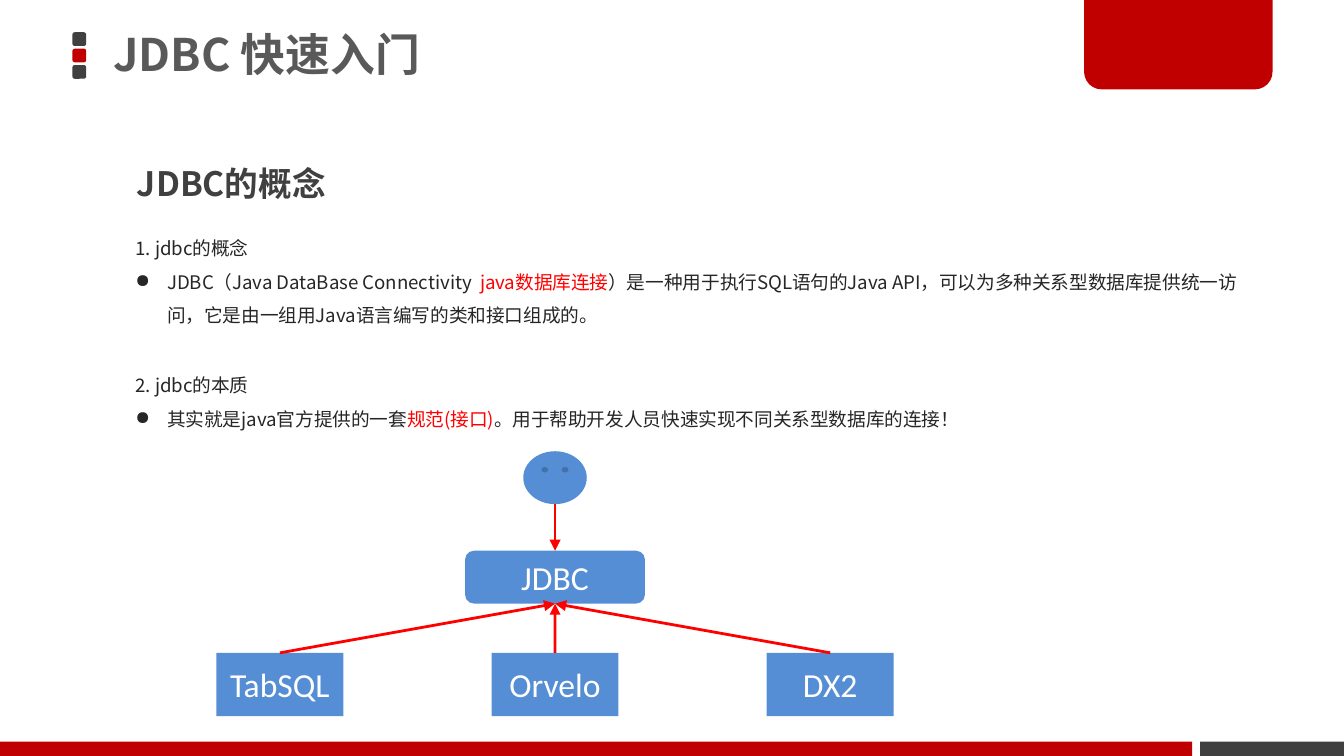
import pptx
import pptx.dml.color
import pptx.enum.shapes
import pptx.enum.text
import pptx.oxml
import pptx.oxml.ns
import pptx.util

Cm = pptx.util.Cm
Pt = pptx.util.Pt
SHAPE = pptx.enum.shapes.MSO_SHAPE
ANCHOR = pptx.enum.text.MSO_ANCHOR
CENTER = pptx.enum.text.PP_ALIGN.CENTER

SLIDE_W, SLIDE_H = 25.4, 14.29
CJK, LATIN = "Noto Sans CJK SC", "Calibri"
RED, DARK, BLUE, INK, ACCENT = "C00000", "404040", "558ED5", "262626", "FF0000"


def color(hex_text):
    return pptx.dml.color.RGBColor.from_string(hex_text)


def append_xml(parent, tag, **attrs):
    el = pptx.oxml.parse_xml(f"<a:{tag} {pptx.oxml.ns.nsdecls('a')}/>")
    for name, value in attrs.items():
        el.set(name, value)
    parent.append(el)


def add_block(slide, kind, x, y, w, h, fill, *adjustments):
    sp = slide.shapes.add_shape(kind, Cm(x), Cm(y), Cm(w), Cm(h))
    sp.shadow.inherit = False
    sp.fill.solid()
    sp.fill.fore_color.rgb = color(fill)
    sp.line.fill.background()
    for i, value in enumerate(adjustments):
        sp.adjustments[i] = value
    return sp


def add_run(p, text, size, hex_text, font=CJK, bold=False):
    r = p.add_run()
    r.text = text
    r.font.size = Pt(size)
    r.font.bold = bold
    r.font.name = font
    r.font.color.rgb = color(hex_text)
    append_xml(r._r.get_or_add_rPr(), "ea", typeface=font)


def add_text_frame(slide, x, y, w, h):
    tf = slide.shapes.add_textbox(Cm(x), Cm(y), Cm(w), Cm(h)).text_frame
    tf.word_wrap = True
    return tf


def add_label(sp, text):
    p = sp.text_frame.paragraphs[0]
    p.alignment = CENTER
    sp.text_frame.vertical_anchor = ANCHOR.MIDDLE
    add_run(p, text, 18, "FFFFFF", LATIN)


def add_arrow(slide, x1, y1, x2, y2):
    line = slide.shapes.add_connector(
        pptx.enum.shapes.MSO_CONNECTOR.STRAIGHT, Cm(x1), Cm(y1), Cm(x2), Cm(y2))
    line.line.color.rgb = color(ACCENT)
    line.line.width = Pt(1.5)
    append_xml(line.line._get_or_add_ln(), "tailEnd", type="triangle")
    append_xml(line._element.spPr, "effectLst")
    return line


def add_header(slide, x, y, w, h):
    for i, fill in enumerate((DARK, RED, DARK)):
        add_block(slide, SHAPE.ROUNDED_RECTANGLE, x, y + 0.61 + i * 0.31,
                  0.26, 0.26, fill, 0.17)
    add_block(slide, SHAPE.ROUND_2_SAME_RECTANGLE, x + w - 3.56, y - 0.05,
              3.56, 1.74, RED, 0, 0.19)
    tf = add_text_frame(slide, x + 0.38, y - 0.05, 14.96, h)
    tf.vertical_anchor = ANCHOR.MIDDLE
    tf.margin_left = tf.margin_right = Cm(0.2)
    tf.margin_top = tf.margin_bottom = Cm(0.1)
    tf.paragraphs[0].line_spacing = 0.9
    add_run(tf.paragraphs[0], " JDBC 快速入门", 24, "595959", bold=True)


def add_footer(slide, x, y, w, h):
    gray_w, gap = 2.72, 0.15
    add_block(slide, SHAPE.RECTANGLE, x, y, w - gray_w - gap, h, RED)
    add_block(slide, SHAPE.RECTANGLE, x + w - gray_w, y, gray_w, h, DARK)


def add_heading(slide, x, y, w, h):
    p = add_text_frame(slide, x, y, w, h).paragraphs[0]
    p.line_spacing = 1.5
    add_run(p, "JDBC的概念", 18, DARK, bold=True)


def add_topic(slide, x, y, w, h, title, bullet_runs):
    """Place a numbered title with one bulleted paragraph below it."""
    tf = add_text_frame(slide, x, y, w, h)
    p = tf.paragraphs[0]
    p.line_spacing = 1.5
    add_run(p, title, 10, INK)
    p = tf.add_paragraph()
    p.line_spacing = 1.5
    pPr = p._p.get_or_add_pPr()
    indent = Cm(0.6)
    pPr.set("marL", str(indent))
    pPr.set("indent", str(-indent))
    append_xml(pPr, "buChar", char="●")
    for text, hex_text in bullet_runs:
        add_run(p, text, 10, hex_text)


def add_diagram(slide, x, y, w, h):
    """Draw the user above JDBC, and JDBC above a row of databases."""
    mid = x + w / 2
    face_w, face_h, api_w, api_h, api_y = 1.2, 1, 3.4, 1, y + 1.88
    db_w, db_h, names = 2.4, 1.2, ("TabSQL", "Orvelo", "DX2")
    step = (w - db_w) / (len(names) - 1)

    add_block(slide, SHAPE.SMILEY_FACE, mid - face_w / 2, y, face_w, face_h, BLUE, 0.05)
    api = add_block(slide, SHAPE.ROUNDED_RECTANGLE, mid - api_w / 2, api_y,
                    api_w, api_h, BLUE, 0.17)
    add_label(api, "JDBC")
    add_arrow(slide, mid, y + face_h, mid, api_y).end_connect(api, 0)

    db_y = y + h - db_h
    for i, name in enumerate(names):
        db_x = x + i * step
        db = add_block(slide, SHAPE.RECTANGLE, db_x, db_y, db_w, db_h, BLUE)
        add_label(db, name)
        line = add_arrow(slide, db_x + db_w / 2, db_y, mid, api_y + api_h)
        line.begin_connect(db, 0)
        line.end_connect(api, 2)


def main():
    prs = pptx.Presentation()
    prs.slide_width, prs.slide_height = Cm(SLIDE_W), Cm(SLIDE_H)
    s = prs.slides.add_slide(prs.slide_layouts[6])
    add_header(s, 1.37, 0, 22.68, 2.26)
    add_footer(s, 0, SLIDE_H - 0.27, SLIDE_W, 0.27)
    add_heading(s, 2.34, 2.57, 9.75, 1.4)
    add_topic(s, 2.31, 4.14, 21.39, 2.16, "1. jdbc的概念", [
        ("JDBC（Java DataBase Connectivity  ", INK),
        ("java数据库连接", ACCENT),
        ("）是一种用于执行SQL语句的Java API，可以为多种关系型数据库提供统一访问，"
         "它是由一组用Java语言编写的类和接口组成的。", INK)])
    add_topic(s, 2.31, 6.73, 21.39, 1.52, "2. jdbc的本质", [
        ("其实就是java官方提供的一套", INK),
        ("规范(接口)", ACCENT),
        ("。用于帮助开发人员快速实现不同关系型数据库的连接！", INK)])
    add_diagram(s, 4.09, 8.53, 12.8, 5.01)
    prs.save("out.pptx")


if __name__ == "__main__":
    main()
